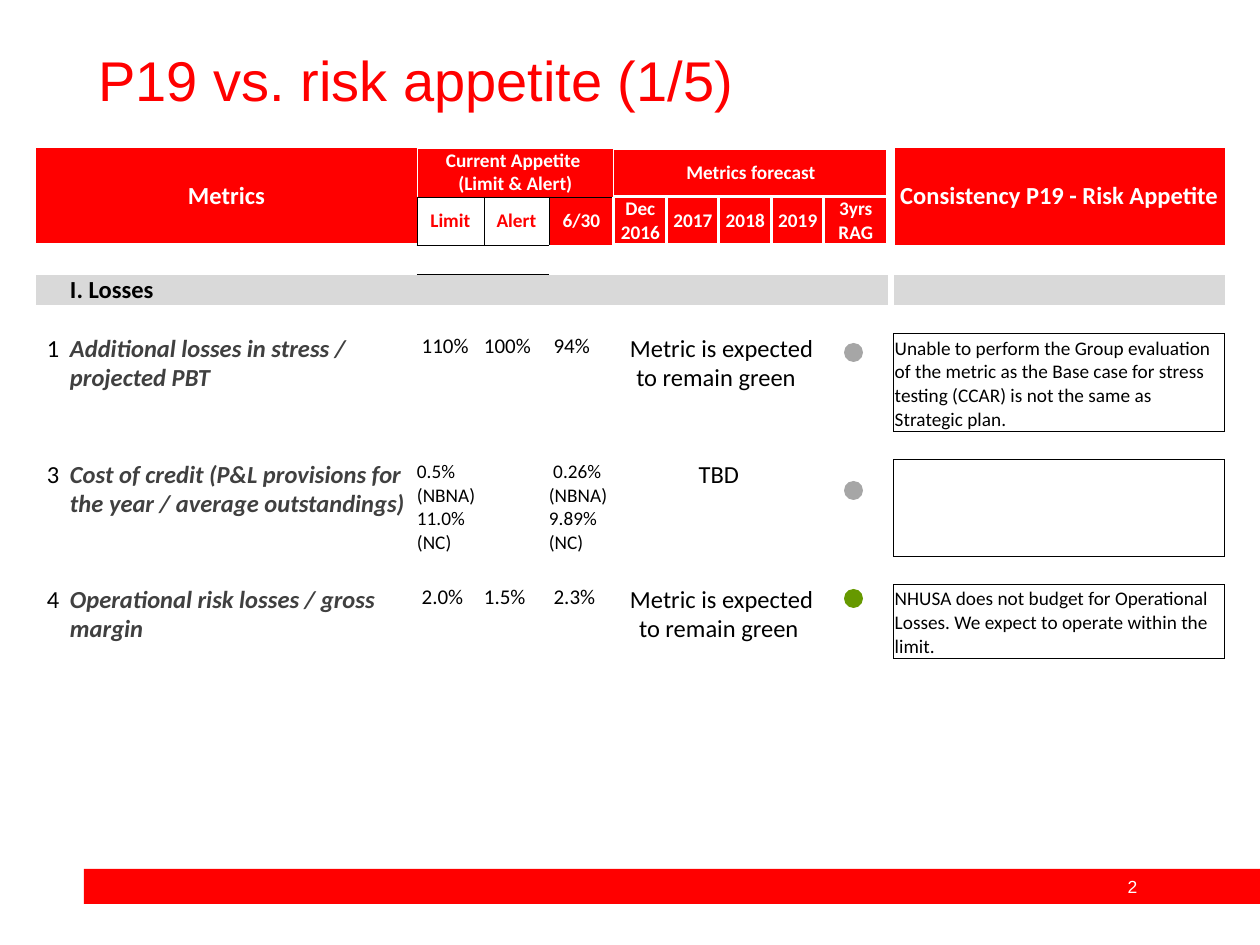
from dataclasses import dataclass

from lxml import etree
from pptx import Presentation
from pptx.dml.color import RGBColor
from pptx.enum.shapes import MSO_SHAPE
from pptx.enum.text import MSO_ANCHOR, PP_ALIGN
from pptx.oxml.ns import qn
from pptx.util import Emu, Pt

PX = 914400 // 126
RECT, OVAL = MSO_SHAPE.RECTANGLE, MSO_SHAPE.OVAL
LEFT, CENTER = PP_ALIGN.LEFT, PP_ALIGN.CENTER
TOP, MIDDLE, BOTTOM = MSO_ANCHOR.TOP, MSO_ANCHOR.MIDDLE, MSO_ANCHOR.BOTTOM
NO_GRID_STYLE = "{2D5ABB26-0587-4C30-8999-92F81FD0307C}"


@dataclass(frozen=True)
class Theme:
    """Colours, fonts and type sizes of the slide."""
    red: str = "FF0000"
    white: str = "FFFFFF"
    black: str = "000000"
    band: str = "D9D9D9"
    metric: str = "404040"
    grey_status: str = "A6A6A6"
    green_status: str = "669900"
    title_font: str = "Arial"
    table_font: str = "Calibri"
    title: int = 32
    large: int = 14
    medium: int = 12
    small: int = 11
    page: int = 10
    blank: int = 6


def px(length):
    """Turn picture pixels into EMU."""
    return Emu(length * PX)


def assign(target, values):
    """Set attributes of target from a dict."""
    for name, value in values.items():
        setattr(target, name, value)


class Deck:
    """Style and current slide, with one method per kind of element."""

    def __init__(self, theme):
        """Open a presentation with one blank slide."""
        self.theme = theme
        self.prs = Presentation()
        assign(self.prs, {"slide_width": px(1260), "slide_height": px(945)})
        self.slide = self.prs.slides.add_slide(self.prs.slide_layouts[6])

    def add_lines(self, frame, text, size, color, font, align=LEFT, bold=False, italic=False):
        """Add each line of text as a paragraph."""
        for number, line in enumerate(text.split("\n")):
            paragraph = frame.add_paragraph() if number else frame.paragraphs[0]
            paragraph.alignment = align
            run = paragraph.add_run()
            run.text = line
            assign(run.font, {"size": Pt(size), "name": font, "bold": bold, "italic": italic})
            run.font.color.rgb = RGBColor.from_string(color)

    def shape(self, kind, box, color):
        """Add a plain filled shape."""
        shape = self.slide.shapes.add_shape(kind, *map(px, box))
        shape.shadow.inherit = False
        shape.fill.solid()
        shape.fill.fore_color.rgb = RGBColor.from_string(color)
        shape.line.fill.background()

    def text(self, box, text, size, color, align=LEFT, anchor=TOP):
        """Add a wrapped text box."""
        frame = self.slide.shapes.add_textbox(*map(px, box)).text_frame
        assign(frame, {"word_wrap": True, "vertical_anchor": anchor})
        self.add_lines(frame, text, size, color, self.theme.title_font, align)

    def table(self, left, top, widths, heights):
        """Add a white table without grid, with tight empty cells."""
        frame = self.slide.shapes.add_table(len(heights), len(widths), px(left), px(top),
                                            px(sum(widths)), px(sum(heights)))
        self.grid = frame.table
        assign(self.grid, {"first_row": False, "horz_banding": False})
        self.grid._tbl.tblPr.find(qn("a:tableStyleId")).text = NO_GRID_STYLE
        for column, width in zip(self.grid.columns, widths):
            column.width = px(width)
        for row, height in zip(self.grid.rows, heights):
            row.height = px(height)
        for cell in self.grid.iter_cells():
            assign(cell, {f"margin_{side}": 0 for side in ("left", "right", "top", "bottom")})
            self.fill(cell, self.theme.white)
            etree.SubElement(cell.text_frame.paragraphs[0]._p, qn("a:endParaRPr"),
                             sz=str(self.theme.blank * 100))

    def fill(self, cell, color):
        """Fill one table cell."""
        cell.fill.solid()
        cell.fill.fore_color.rgb = RGBColor.from_string(color)

    def border(self, cell, sides):
        """Draw cell sides given as {letter: (colour, points)}."""
        properties = cell._tc.get_or_add_tcPr()
        for index, side in enumerate(s for s in "LRTB" if s in sides):
            color, width = sides[side]
            line = etree.Element(qn(f"a:ln{side}"), w=str(int(Pt(width))))
            solid = etree.SubElement(line, qn("a:solidFill"))
            etree.SubElement(solid, qn("a:srgbClr"), val=color)
            properties.insert(index, line)

    def cell(self, row, column, text="", fill=None, sides=None, span=(1, 1),
             anchor=TOP, margin=0, **style):
        """Set span, fill, sides and text of a table cell."""
        cell = self.grid.cell(row, column)
        if span != (1, 1):
            cell.merge(self.grid.cell(row + span[0] - 1, column + span[1] - 1))
        if fill:
            self.fill(cell, fill)
        self.border(cell, sides or {})
        assign(cell, {"vertical_anchor": anchor, "margin_left": px(margin),
                      "margin_right": px(margin), "margin_top": px(margin)})
        if text:
            values = {"size": self.theme.large, "color": self.theme.black,
                      "font": self.theme.table_font, **style}
            self.add_lines(cell.text_frame, text, **values)


T = Theme()
THIN_WHITE, WHITE, BLACK = (T.white, 0.5), (T.white, 2), (T.black, 0.5)
BOXED = dict.fromkeys("LRTB", BLACK)
YEAR_SIDES = dict.fromkeys("LTR", WHITE)
SPACER, COMMENT = 10, 11

HEADERS = [
    (0, 0, "Metrics", (2, 2), T.large, {"R": THIN_WHITE, "B": WHITE}),
    (0, 2, "Current Appetite \n(Limit & Alert)", (1, 3), T.small,
     {**dict.fromkeys("LTR", THIN_WHITE), "B": BLACK}),
    (0, 5, "Metrics forecast", (1, 5), T.small,
     {"L": THIN_WHITE, **dict.fromkeys("TRB", WHITE)}),
    (0, COMMENT, "Consistency P19 - Risk Appetite", (2, 1), T.large, {}),
    (1, 4, "6/30", (1, 1), T.small, {"L": BLACK, "R": WHITE}),
] + [(1, column, label, (1, 1), T.small, YEAR_SIDES)
     for column, label in enumerate(["Dec 2016", "2017", "2018", "2019", "3yrs RAG"], 5)]

# Row, number, metric, limit / alert / actual, their type size, forecast, comment
METRICS = [
    (5, "1", "Additional losses in stress / projected PBT",
     ["\u00a0110%", "100%", "\u00a094%"], T.medium,
     "\u00a0Metric is expected to remain green\u00a0",
     "Unable to perform the Group evaluation of the metric as the Base case for stress "
     "testing (CCAR) is not the same as Strategic plan. "),
    (7, "3", "Cost of credit (P&L provisions for the year / average outstandings)",
     ["0.5% (NBNA)\n11.0% (NC)", "", "\u00a00.26% (NBNA) 9.89% (NC)"], T.small, "TBD", ""),
    (9, "4", "Operational risk losses / gross margin ",
     ["\u00a02.0%", "1.5%", "\u00a02.3%"], T.medium,
     "\u00a0Metric is expected to remain green",
     "NHUSA does not budget for Operational Losses. We expect to operate within the limit. "),
]

deck = Deck(T)
deck.shape(RECT, (84, 869, 1176, 35), T.red)
deck.text((1097, 869, 71, 34), "2", T.page, T.white, CENTER, MIDDLE)
deck.text((86, 39, 1086, 72), "P19 vs. risk appetite (1/5)", T.title, T.red)

deck.table(36, 148, [34, 347, 67, 65, 65, 53, 52, 53, 52, 64, 6, 331],
           [49, 48, 30, 30, 29, 98, 28, 97, 28, 74, 17])
for row, column, label, span, size, sides in HEADERS:
    deck.cell(row, column, label, T.red, sides, span, MIDDLE,
              size=size, color=T.white, align=CENTER, bold=True)
for column, label in enumerate(["Limit", "Alert"], 2):
    deck.cell(1, column, label, T.white, BOXED, anchor=MIDDLE,
              size=T.small, color=T.red, align=CENTER, bold=True)
    deck.cell(2, column, sides={"T": BLACK})
for row in (0, 1):
    deck.cell(row, SPACER, sides={"L": WHITE})
for column in (*range(SPACER), COMMENT):
    deck.cell(3, column, "I. Losses" if column == 1 else "", T.band, bold=True)
for row, sides in ((4, "B"), (6, "TB"), (8, "TB"), (10, "T")):
    deck.cell(row, COMMENT, sides=dict.fromkeys(sides, BLACK))

for row, number, metric, levels, size, forecast, comment in METRICS:
    deck.cell(row, 0, number, align=CENTER)
    deck.cell(row, 1, metric, color=T.metric, bold=True, italic=True)
    for column, level in enumerate(levels, 2):
        deck.cell(row, column, level, size=size)
    deck.cell(row, 5, forecast, span=(1, 4), align=CENTER)
    deck.cell(row, SPACER, sides={"R": BLACK})
    deck.cell(row, COMMENT, comment, sides=BOXED, anchor=BOTTOM, margin=1, size=T.small)

for top, status in ((343, T.grey_status), (589, T.green_status), (481, T.grey_status)):
    deck.shape(OVAL, (844, top, 19, 19), status)

deck.prs.save("out.pptx")
